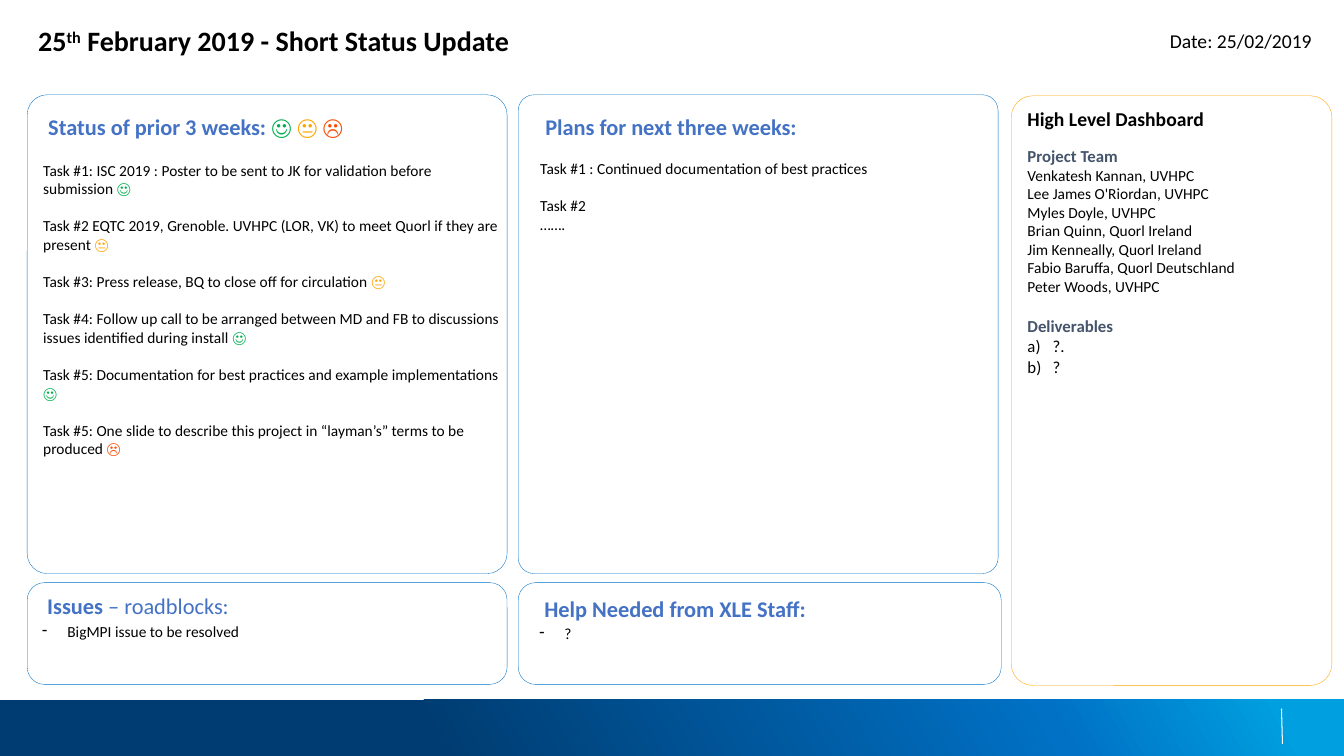
from lxml import etree
from pptx import Presentation
from pptx.dml.color import RGBColor
from pptx.enum.shapes import MSO_CONNECTOR, MSO_SHAPE
from pptx.enum.text import MSO_ANCHOR, PP_ALIGN
from pptx.oxml import parse_xml
from pptx.oxml.ns import nsdecls, qn
from pptx.util import Inches, Pt

BLACK = RGBColor(0x00, 0x00, 0x00)
WHITE = RGBColor(0xFF, 0xFF, 0xFF)
HEADING_BLUE = RGBColor(0x44, 0x72, 0xC4)
BORDER_BLUE = RGBColor(0x00, 0x71, 0xC5)
SLATE = RGBColor(0x44, 0x54, 0x6A)
GREEN = RGBColor(0x00, 0xB0, 0x50)
AMBER = RGBColor(0xFF, 0xA3, 0x00)
RED = RGBColor(0xFC, 0x4C, 0x02)
FONT = "Calibri"
FOOTER_STOPS = [(32, "003C71"), (78, "0071C5"), (95, "009FDF")]
FOOTER_ANGLE = 331

# Content
GOOD, FAIR, POOR = ("☺", GREEN), ("😐", AMBER), ("☹", RED)
TITLE = [("25", {}), ("th", {"raised": True}), (" February 2019 - Short Status Update", {})]
DATE = "Date: 25/02/2019"
STATUS_HEADING = "Status of prior 3 weeks: "
STATUS_TASKS = [
    ("Task #1: ISC 2019 : Poster to be sent to JK for validation before submission ", GOOD),
    ("Task #2 EQTC 2019, Grenoble. UVHPC (LOR, VK) to meet Quorl if they are present ", FAIR),
    ("Task #3: Press release, BQ to close off for circulation ", FAIR),
    ("Task #4: Follow up call to be arranged between MD and FB to discussions "
     "issues identified during install ", GOOD),
    ("Task #5: Documentation for best practices and example implementations ", GOOD),
    ("Task #5: One slide to describe this project in “layman’s” terms to be produced ", POOR),
]
PLANS_HEADING = "Plans for next three weeks:"
PLANS = ["Task #1 : Continued documentation of best practices", "Task #2", "……."]
ISSUES_HEADING = [("Issues ", True), ("– roadblocks:", False)]
ISSUES = ["BigMPI issue to be resolved"]
HELP_HEADING = [("Help Needed from XLE Staff:", True)]
HELP = ["?"]
DASHBOARD_HEADING = "High Level Dashboard"
TEAM_HEADING = "Project Team"
TEAM = [
    "Venkatesh Kannan, UVHPC", "Lee James O'Riordan, UVHPC", "Myles Doyle, UVHPC",
    "Brian Quinn, Quorl Ireland", "Jim Kenneally, Quorl Ireland",
    "Fabio Baruffa, Quorl Deutschland", "Peter Woods, UVHPC",
]
DELIVERABLES_HEADING = "Deliverables"
DELIVERABLES = ["?.", "?"]

# Layout, in inches
LEFT_X, MIDDLE_X = 0.27, 5.14
UPPER_Y, LOWER_Y = 0.94, 5.78
PANEL_W, UPPER_H, LOWER_H = 4.76, 4.75, 1.01
HEADING_INDENT = 0.05
LIST_INDENT = 0.25
TASK_GAP = 13.4  # one line of task text, in points

HEADING = {"size": 16, "color": HEADING_BLUE, "bold": True}
BODY = {"size": 11, "color": BLACK}
SUBHEADING = {"size": 12, "color": SLATE, "bold": True}


def paragraph(runs, before=0, after=0, indent=0, hang=0, bullet=None, align=PP_ALIGN.LEFT):
    return {"runs": runs, "indent": indent, "hang": hang, "bullet": bullet,
            "format": {"space_before": Pt(before), "space_after": Pt(after), "alignment": align}}


def listed(items, bullet, style):
    return [paragraph([(item, style)], indent=LIST_INDENT, hang=LIST_INDENT, bullet=bullet)
            for item in items]


def write(frame, paragraphs, anchor=MSO_ANCHOR.TOP):
    frame.word_wrap = True
    frame.vertical_anchor = anchor
    for index, content in enumerate(paragraphs):
        para = frame.paragraphs[0] if index == 0 else frame.add_paragraph()
        for name, value in content["format"].items():
            setattr(para, name, value)
        props = para._p.get_or_add_pPr()
        props.set("marL", str(Inches(content["indent"])))
        props.set("indent", str(-Inches(content["hang"])))
        if content["bullet"]:
            tag, attribute, value = content["bullet"]
            etree.SubElement(props, qn(tag)).set(attribute, value)
        for text, style in content["runs"]:
            run = para.add_run()
            run.text = text
            font = run.font
            font.name = FONT
            font.size = Pt(style["size"])
            font.bold = style.get("bold", False)
            font.color.rgb = style["color"]
            if style.get("raised"):
                font._element.set("baseline", "30000")


def add_text(slide, box, paragraphs, anchor=MSO_ANCHOR.TOP):
    write(slide.shapes.add_textbox(*map(Inches, box)).text_frame, paragraphs, anchor)


def add_panel(slide, box, rounding, border):
    panel = slide.shapes.add_shape(MSO_SHAPE.ROUNDED_RECTANGLE, *map(Inches, box))
    panel.adjustments[0] = rounding
    panel.shadow.inherit = False
    panel.fill.solid()
    panel.fill.fore_color.rgb = WHITE
    panel.line.color.rgb = border
    panel.line.width = Pt(0.25)
    return panel


def add_footer(slide):
    band = slide.shapes.add_shape(MSO_SHAPE.RECTANGLE, 0, Inches(6.94), Inches(13.33), Inches(0.56))
    band.shadow.inherit = False
    band.line.fill.background()
    stops = "".join(f'<a:gs pos="{pos * 1000}"><a:srgbClr val="{color}"/></a:gs>'
                    for pos, color in FOOTER_STOPS)
    band._element.spPr.find(qn("a:prstGeom")).addnext(parse_xml(
        f'<a:gradFill {nsdecls("a")}><a:gsLst>{stops}</a:gsLst>'
        f'<a:lin ang="{FOOTER_ANGLE * 60000}" scaled="0"/></a:gradFill>'))
    divider = slide.shapes.add_connector(
        MSO_CONNECTOR.STRAIGHT, *map(Inches, (12.71, 7.03, 12.72, 7.38)))
    divider.line.color.rgb = WHITE
    divider.line.width = Pt(0.75)
    etree.SubElement(divider._element.spPr, qn("a:effectLst"))


def status_paragraphs():
    moods = [(face + " ", {"size": 16, "color": color}) for face, color in (GOOD, FAIR, POOR)]
    tasks = [paragraph([(task, BODY), (face, {"size": 11, "color": color})],
                       before=15 if index == 0 else TASK_GAP)
             for index, (task, (face, color)) in enumerate(STATUS_TASKS)]
    return [paragraph([(STATUS_HEADING, HEADING)] + moods, indent=HEADING_INDENT)] + tasks


def plans_paragraphs():
    gaps = [14, TASK_GAP, 0]
    return [paragraph([(PLANS_HEADING, HEADING)], indent=HEADING_INDENT)] + [
        paragraph([(plan, BODY)], before=gap) for plan, gap in zip(PLANS, gaps)]


def short_list(heading, items):
    runs = [(text, {**HEADING, "bold": bold}) for text, bold in heading]
    return [paragraph(runs, after=2, indent=HEADING_INDENT)] + listed(
        items, ("a:buChar", "char", "-"), BODY)


def dashboard_paragraphs():
    return [
        paragraph([(DASHBOARD_HEADING, {"size": 14, "color": BLACK, "bold": True})]),
        paragraph([(TEAM_HEADING, SUBHEADING)], before=11),
        *[paragraph([(member, BODY)]) for member in TEAM],
        paragraph([(DELIVERABLES_HEADING, SUBHEADING)], before=14.6),
        *listed(DELIVERABLES, ("a:buAutoNum", "type", "alphaLcParenR"), {**BODY, "size": 12}),
    ]


def main():
    deck = Presentation()
    deck.slide_width, deck.slide_height = Inches(13.33), Inches(7.5)
    slide = deck.slides.add_slide(deck.slide_layouts[6])

    add_footer(slide)
    title_style = {"size": 20, "color": BLACK, "bold": True}
    add_text(slide, (0.28, 0.18, 8.44, 0.44),
             [paragraph([(text, {**title_style, **extra}) for text, extra in TITLE])],
             MSO_ANCHOR.MIDDLE)
    add_text(slide, (9.86, 0.23, 3.25, 0.34),
             [paragraph([(DATE, {"size": 14, "color": BLACK})], align=PP_ALIGN.RIGHT)],
             MSO_ANCHOR.MIDDLE)

    sections = [
        ((LEFT_X, UPPER_Y, PANEL_W, UPPER_H), 0.042, (0.33, 1.07, 4.75, 3.82), status_paragraphs()),
        ((MIDDLE_X, UPPER_Y, PANEL_W, UPPER_H), 0.033, (5.26, 1.07, 4.76, 1.3), plans_paragraphs()),
        ((LEFT_X, LOWER_Y, PANEL_W, LOWER_H), 0.17, (0.32, 5.83, 4.76, 0.77),
         short_list(ISSUES_HEADING, ISSUES)),
        ((MIDDLE_X, LOWER_Y, 4.79, LOWER_H), 0.17, (5.25, 5.85, 4.68, 1.02),
         short_list(HELP_HEADING, HELP)),
    ]
    for panel_box, rounding, text_box, paragraphs in sections:
        add_panel(slide, panel_box, rounding, BORDER_BLUE)
        add_text(slide, text_box, paragraphs)

    dashboard = add_panel(slide, (10.03, 0.95, 3.18, 5.85), 0.067, AMBER)
    write(dashboard.text_frame, dashboard_paragraphs())
    deck.save("out.pptx")


if __name__ == "__main__":
    main()
